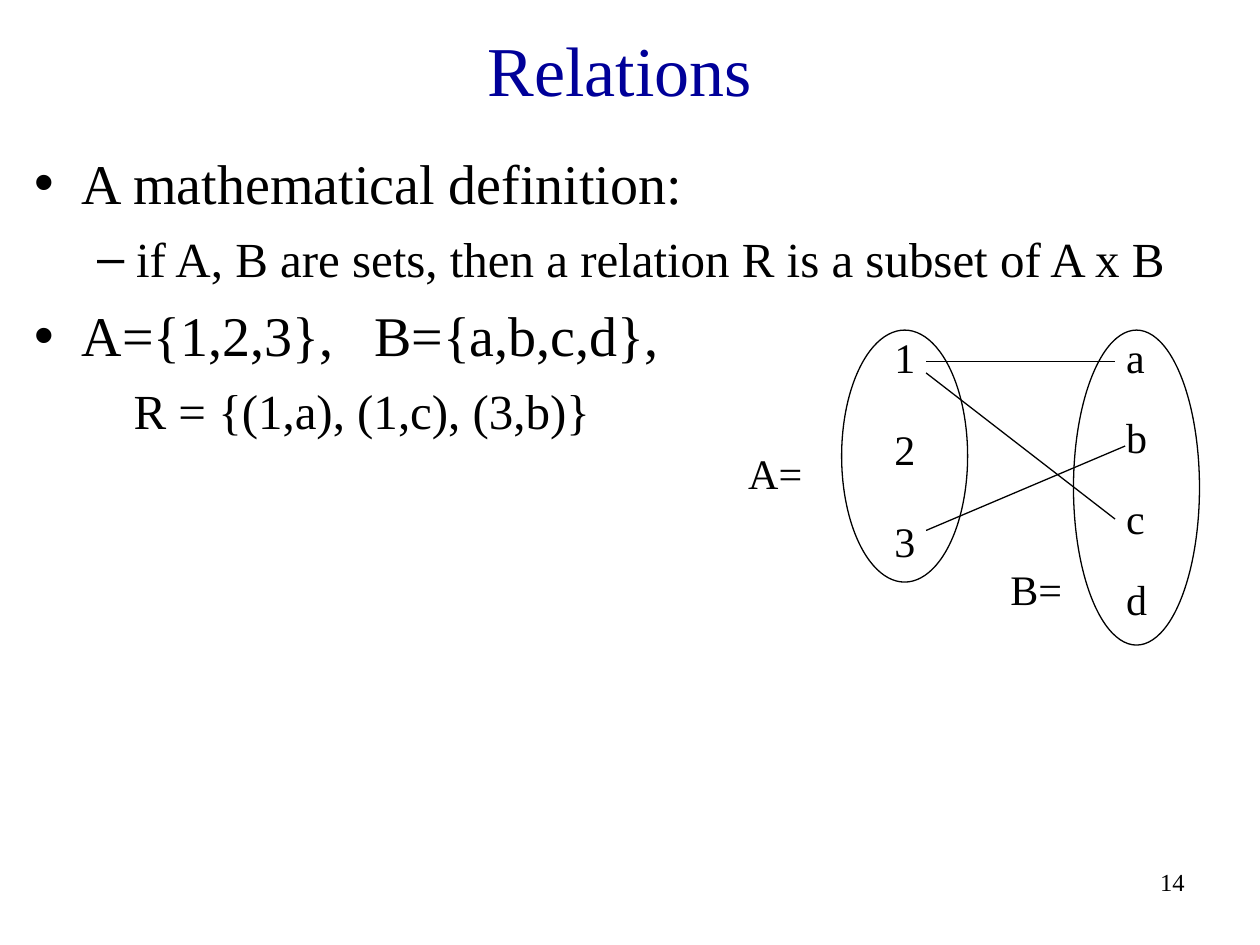
from lxml import etree
from pptx import Presentation
from pptx.dml.color import RGBColor
from pptx.enum import shapes, text
from pptx.oxml.ns import qn
from pptx.util import Inches, Pt

FONT = "Times New Roman"
BLACK, NAVY = "000000", "000099"
FIRST_ROW = 2.58


def rgb(value):
    return RGBColor.from_string(value)


def place(shape, left, top, width, height):
    shape.left, shape.top = Inches(left), Inches(top)
    shape.width, shape.height = Inches(width), Inches(height)


def style_font(paragraph, size, color=BLACK):
    for run in paragraph.runs:
        run.font.name = FONT
        run.font.size = Pt(size)
        run.font.color.rgb = rgb(color)


def add_title(slide, wording):
    title = slide.shapes.title
    place(title, 0.17, 0.17, 9.5, 0.75)
    frame = title.text_frame
    frame.text = wording
    frame.auto_size = text.MSO_AUTO_SIZE.NONE
    frame.vertical_anchor = text.MSO_ANCHOR.MIDDLE
    frame.paragraphs[0].alignment = text.PP_ALIGN.CENTER
    style_font(frame.paragraphs[0], 40, NAVY)


def set_outline(paragraph, left, hanging, bullet, tab):
    """Set indents in inches, the bullet character and an optional tab stop."""
    properties = paragraph._p.get_or_add_pPr()
    properties.set("marL", str(Inches(left)))
    properties.set("indent", str(Inches(-hanging)))
    if bullet:
        etree.SubElement(properties, qn("a:buChar")).set("char", bullet)
    else:
        etree.SubElement(properties, qn("a:buNone"))
    if tab:
        stops = etree.SubElement(properties, qn("a:tabLst"))
        etree.SubElement(stops, qn("a:tab"), pos=str(Inches(tab)), algn="l")


def add_definition(slide):
    body = slide.placeholders[1]
    place(body, 0.17, 1.08, 9.5, 5.92)
    frame = body.text_frame
    frame.auto_size = text.MSO_AUTO_SIZE.NONE
    frame.margin_top = Inches(0.1)
    # wording, level, left indent, hanging indent, bullet, tab stop
    points = [
        ("A mathematical definition:", 0, 0.38, 0.38, "•", None),
        ("if A, B are sets, then a relation R is a subset of A x B", 1, 0.81, 0.31, "–", None),
        ("A={1,2,3},\tB={a,b,c,d},", 0, 0.38, 0.38, "•", 2.7),
        ("R = {(1,a), (1,c), (3,b)}", 1, 0.79, 0, None, None),
    ]
    for index, (wording, level, left, hanging, bullet, tab) in enumerate(points):
        paragraph = frame.add_paragraph() if index else frame.paragraphs[0]
        paragraph.text = wording
        paragraph.level = level
        set_outline(paragraph, left, hanging, bullet, tab)
        paragraph.space_before = Pt((8, 7)[level] if index else 0)
        style_font(paragraph, (32, 28)[level])


def add_label(slide, wording, left, top, width=0.36):
    label = slide.shapes.add_textbox(Inches(left), Inches(top), Inches(width), Inches(0.5))
    frame = label.text_frame
    frame.text = wording
    frame.word_wrap = False
    frame.auto_size = text.MSO_AUTO_SIZE.SHAPE_TO_FIT_TEXT
    style_font(frame.paragraphs[0], 24)


def add_members(slide, members, left, pitch):
    for row, member in enumerate(members):
        add_label(slide, member, left, FIRST_ROW + row * pitch)


def add_set_outline(slide, left, height):
    outline = slide.shapes.add_shape(
        shapes.MSO_SHAPE.OVAL, Inches(left), Inches(2.62), Inches(1), Inches(height))
    outline.shadow.inherit = False
    outline.fill.background()
    outline.line.color.rgb = rgb(BLACK)
    outline.line.width = Pt(0.75)


def add_pair_line(slide, start, end):
    pair = slide.shapes.add_connector(
        shapes.MSO_CONNECTOR.STRAIGHT, *(Inches(value) for value in (*start, *end)))
    pair.line.color.rgb = rgb(BLACK)
    pair.line.width = Pt(0.75)
    etree.SubElement(pair._element.spPr, qn("a:effectLst"))


def add_relation_diagram(slide):
    add_members(slide, "123", 7, 0.73)
    add_members(slide, "abcd", 8.84, 0.64)
    add_set_outline(slide, 6.68, 2)
    add_set_outline(slide, 8.52, 2.5)
    for start, end in [
        ((7.35, 2.87), (8.85, 2.87)),
        ((7.35, 2.96), (8.85, 4.12)),
        ((7.35, 4.21), (8.93, 3.54)),
    ]:
        add_pair_line(slide, start, end)
    add_label(slide, "A=", 5.84, 3.5, 0.63)
    add_label(slide, "B=", 7.92, 4.42, 0.61)


def add_page_number(slide, number):
    box = slide.shapes.add_textbox(Inches(7.42), Inches(6.83), Inches(2.08), Inches(0.5))
    frame = box.text_frame
    frame.text = number
    frame.word_wrap = True
    frame.paragraphs[0].alignment = text.PP_ALIGN.RIGHT
    style_font(frame.paragraphs[0], 14)


def main():
    deck = Presentation()
    deck.slide_width, deck.slide_height = Inches(10), Inches(7.5)
    slide = deck.slides.add_slide(deck.slide_layouts[1])
    add_page_number(slide, "14")
    add_title(slide, "Relations")
    add_definition(slide)
    add_relation_diagram(slide)
    deck.save("out.pptx")


if __name__ == "__main__":
    main()
